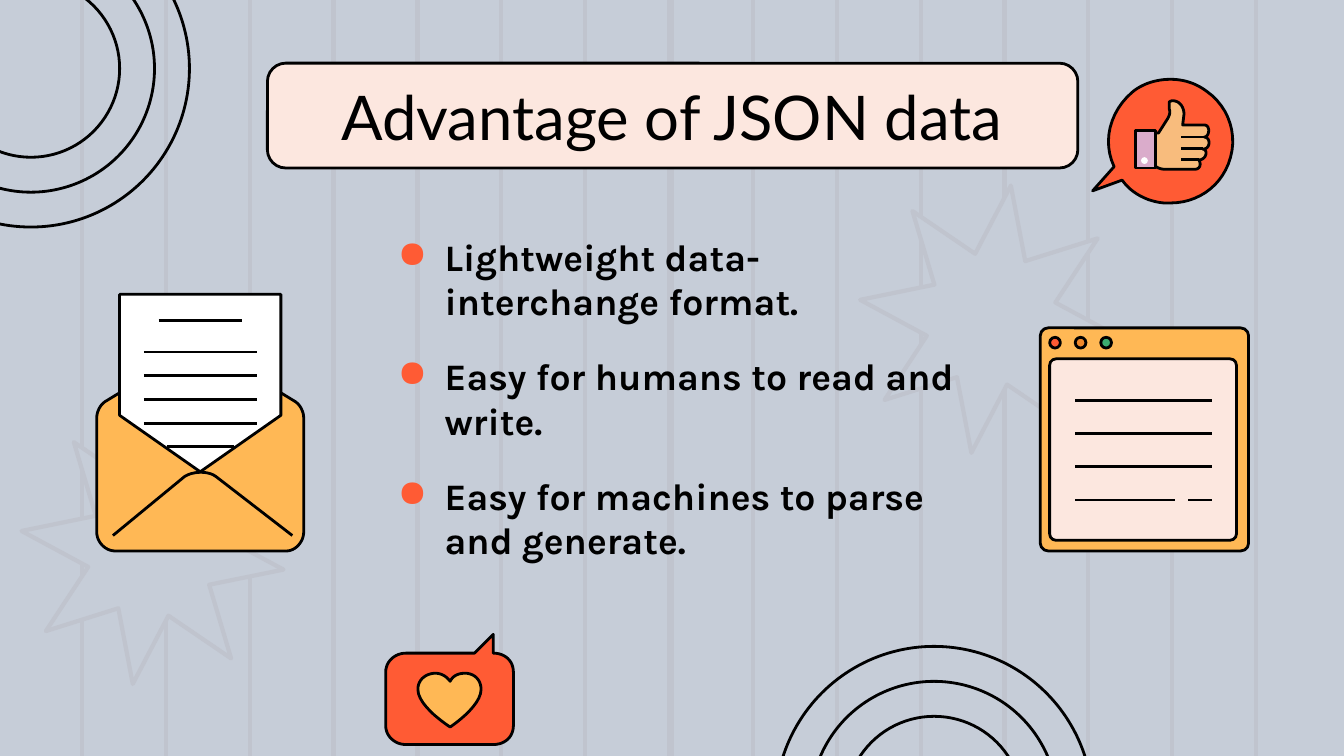
"""Build a slide on the advantages of JSON data, with lengths in hundredths of the slide width."""
from lxml import etree
from pptx import Presentation
from pptx import util as u
from pptx.dml.color import RGBColor
from pptx.enum import shapes, text
from pptx.oxml.ns import qn

WIDE, TALL = 100, 56.25
UNIT = u.Inches(10) / WIDE
HUES = {"back": "C6CDD8", "faint": "C0C4CE", "ink": "000000", "blush": "FCE7DF",
        "red": "FF5B34", "gold": "FFB855", "amber": "EE882B", "green": "3BAD70",
        "white": "FFFFFF", "skin": "F8BC7D", "lilac": "DAACCB"}
KINDS = shapes.MSO_SHAPE

TITLE = "Advantage of JSON data"
POINTS = ["Lightweight data-interchange format.",
          "Easy for humans to read and write.",
          "Easy for machines to parse and generate."]

STRIPES = [6.1 + 6.24 * i for i in range(15)] + [50]
STARS = [(63.9, 13.7), (1.5, 30.9)]
RINGS = [(69.5, 59.9), (2.3, 5.1)]
SIZES = [23.6, 18.4, 13.2]
DOTS = ["red", "amber", "green"]
RULES = [(80, 90.2, 29.8), (80, 90.2, 32.25), (80, 90.2, 34.7),
         (80, 87.4, 37.2), (88.4, 90.2, 37.2)]
NOTES = [(11.8, 18, 23.85), (10.7, 19.1, 26.2), (10.7, 19.1, 27.95),
         (10.7, 19.1, 29.75), (10.7, 19.1, 31.5), (12.4, 17.4, 33.25)]
FINGERS = [(87.9, 89.6, 10.2), (87.9, 89.5, 11.05), (87.9, 89.2, 11.85)]

POUCH = [(14.9, 25.8), (14.7, 25.8, 14.4, 25.9, 14.2, 26), (7.8, 29.9),
         (7.4, 30.2, 7.2, 30.7, 7.2, 31.1), (7.2, 39.6),
         (7.2, 40.3, 7.8, 41, 8.6, 41), (21.3, 41),
         (22, 41, 22.6, 40.3, 22.6, 39.6), (22.6, 31.1),
         (22.6, 30.7, 22.4, 30.2, 22, 29.9), (15.6, 26),
         (15.4, 25.9, 15.2, 25.8, 14.9, 25.8)]
SHEET = [(8.9, 21.9), (8.9, 30.9), (14.9, 35.1), (20.9, 30.9), (20.9, 21.9)]
FLAP = [(8.4, 39.85), (13.75, 35.45), (14.1, 35.25, 14.5, 35.15, 14.95, 35.15),
        (15.4, 35.15, 15.75, 35.25, 16.05, 35.45), (21.75, 39.85)]
CHAT = [(36.7, 55.4), (37.6, 55.4, 38.2, 54.8, 38.2, 54), (38.2, 50),
        (38.2, 49.2, 37.6, 48.6, 36.7, 48.6), (36.7, 47.2), (35.3, 48.6), (30.2, 48.6),
        (29.4, 48.6, 28.7, 49.2, 28.7, 50), (28.7, 54),
        (28.7, 54.8, 29.4, 55.4, 30.2, 55.4)]
HEART = [(34.6, 50.1), (35.3, 50.1, 35.8, 50.6, 35.8, 51.3),
         (35.8, 52.6, 33.5, 54.1, 33.5, 54.1), (33.5, 54.1, 31.1, 52.6, 31.1, 51.3),
         (31.1, 50.5, 31.8, 50.1, 32.4, 50.1), (32.8, 50.1, 33.2, 50.3, 33.5, 50.7),
         (33.7, 50.3, 34.1, 50.1, 34.6, 50.1)]
PRAISE = [(87.1, 15.1), (86.9, 15.1, 86.8, 15.1, 86.6, 15.1),
          (85.4, 15, 84.2, 14.4, 83.5, 13.4), (81.3, 14.2), (82.9, 12.4),
          (82, 10.5, 82.6, 8.3, 84.2, 6.9), (85, 6.2, 86.1, 5.9, 87.1, 5.9),
          (88.1, 5.9, 89, 6.2, 89.8, 6.8), (91.5, 8, 92.2, 10.2, 91.4, 12.2),
          (90.7, 14, 89, 15.1, 87.1, 15.1)]
THUMB = [(87.3, 7.5), (87.7, 7.5, 88.1, 7.9, 88.1, 8.5), (88, 9.3), (89.6, 9.3),
         (90.1, 9.3, 90, 10.2, 89.6, 10.2), (90.1, 10.2, 90.1, 11.1, 89.5, 11.1),
         (89.9, 11.1, 89.8, 11.9, 89.2, 11.9), (89.4, 12.2, 89.3, 12.6, 88.9, 12.6),
         (86.7, 12.6), (86.4, 12.6, 86.1, 12.5, 85.9, 12.3), (85.9, 9.9), (86.2, 9.9),
         (86.9, 8.8), (87, 8.6, 87.1, 8.4, 87, 8.1), (87, 7.6),
         (87.1, 7.5, 87.2, 7.5, 87.3, 7.5)]


def emu(*nums):
    return [round(n * UNIT) for n in nums]


def hue(name):
    return RGBColor.from_string(HUES[name])


def style(shape, fill, line="ink", width=1.5):
    shape.shadow.inherit = False
    if fill:
        shape.fill.solid()
        shape.fill.fore_color.rgb = hue(fill)
    else:
        shape.fill.background()
    if line:
        shape.line.color.rgb = hue(line)
        shape.line.width = u.Pt(width)
    else:
        shape.line.fill.background()


def block(kind, box, fill, line="ink", width=1.5, adjust=None, turn=0):
    shape = slide.shapes.add_shape(kind, *emu(*box))
    style(shape, fill, line, width)
    if adjust is not None:
        shape.adjustments[0] = adjust
    shape.rotation = turn


def rule(left, top, right, low, color="ink", width=1.5):
    line = slide.shapes.add_connector(shapes.MSO_CONNECTOR.STRAIGHT, *emu(left, top, right, low))
    line.line.color.rgb = hue(color)
    line.line.width = u.Pt(width)
    etree.SubElement(line._element.spPr, qn("a:effectLst"))


def trace(parts, steps=12):
    spots = [parts[0]]
    for part in parts[1:]:
        if len(part) == 2:
            spots.append(part)
            continue
        knots = [spots[-1], part[:2], part[2:4], part[4:]]
        for i in range(1, steps + 1):
            t = i / steps
            shares = [(1 - t) ** 3, 3 * t * (1 - t) ** 2, 3 * t * t * (1 - t), t ** 3]
            spots.append(tuple(sum(s * k[axis] for s, k in zip(shares, knots))
                               for axis in (0, 1)))
    return [emu(*spot) for spot in spots]


def sketch(parts, fill):
    spots = trace(parts)
    pen = slide.shapes.build_freeform(*spots[0], scale=1.0)
    pen.add_line_segments(spots[1:], close=bool(fill))
    style(pen.convert_to_shape(), fill)


def write(box, lines, font, size, top=1, bold=False):
    frame = slide.shapes.add_textbox(*emu(*box)).text_frame
    frame.word_wrap = True
    frame.vertical_anchor = text.MSO_ANCHOR.TOP
    frame.margin_left, frame.margin_right, frame.margin_top, frame.margin_bottom = emu(1, 1, top, 1)
    frame.text = "\n".join(lines)
    for para in frame.paragraphs:
        face = para.runs[0].font
        face.name, face.size, face.bold = font, u.Pt(size), bold
        face.color.rgb = hue("ink")
    return frame.paragraphs


def bullet(para):
    para.space_before = u.Pt(16)
    props = para._p.get_or_add_pPr()
    props.set("marL", str(emu(5)[0]))
    props.set("indent", str(emu(-3.5)[0]))
    color = etree.SubElement(props, qn("a:buClr"))
    etree.SubElement(color, qn("a:srgbClr"), val=HUES["red"])
    etree.SubElement(props, qn("a:buChar"), char="●")


deck = Presentation()
deck.slide_width, deck.slide_height = emu(WIDE, TALL)
slide = deck.slides.add_slide(deck.slide_layouts[6])
slide.background.fill.solid()
slide.background.fill.fore_color.rgb = hue("back")

for x in STRIPES:
    rule(x, 0, x, TALL, "faint", 2.25)
for x, y in STARS:
    block(KINDS.STAR_8_POINT, (x, y, 19.7, 20.1), "back", "faint", 2.25, 0.25, 8.4)
for x, y in RINGS:
    for size in SIZES:
        block(KINDS.OVAL, (x - size / 2, y - size / 2, size, size), None)

block(KINDS.ROUNDED_RECTANGLE, (19.9, 4.7, 60.3, 7.8), "blush", adjust=0.175)
for para in write((27.1, 16.4, 45.9, 27.6), POINTS, "Karla", 20, bold=True):
    bullet(para)
write((7.8, 5.9, 84.4, 5.2), [TITLE], "Lato", 33, top=0)[0].alignment = text.PP_ALIGN.CENTER

block(KINDS.ROUNDED_RECTANGLE, (77.4, 24.4, 15.5, 16.6), "gold", adjust=0.038)
block(KINDS.ROUNDED_RECTANGLE, (78.1, 26.7, 13.9, 13.5), "blush", adjust=0.035)
for i, name in enumerate(DOTS):
    block(KINDS.OVAL, (78.1 + 1.9 * i, 25.1, 0.8, 0.8), name)

for parts, fill in [(POUCH, "gold"), (SHEET, "white"), (FLAP, None), (CHAT, "red"),
                    (HEART, "gold"), (PRAISE, "red"), (THUMB, "skin")]:
    sketch(parts, fill)
block(KINDS.RECTANGLE, (84.5, 9.7, 1.5, 2.8), "lilac")
block(KINDS.OVAL, (84.9, 11.7, 0.5, 0.5), "white", None)
for left, right, y in RULES + NOTES + FINGERS:
    rule(left, y, right, y)

deck.save("out.pptx")
